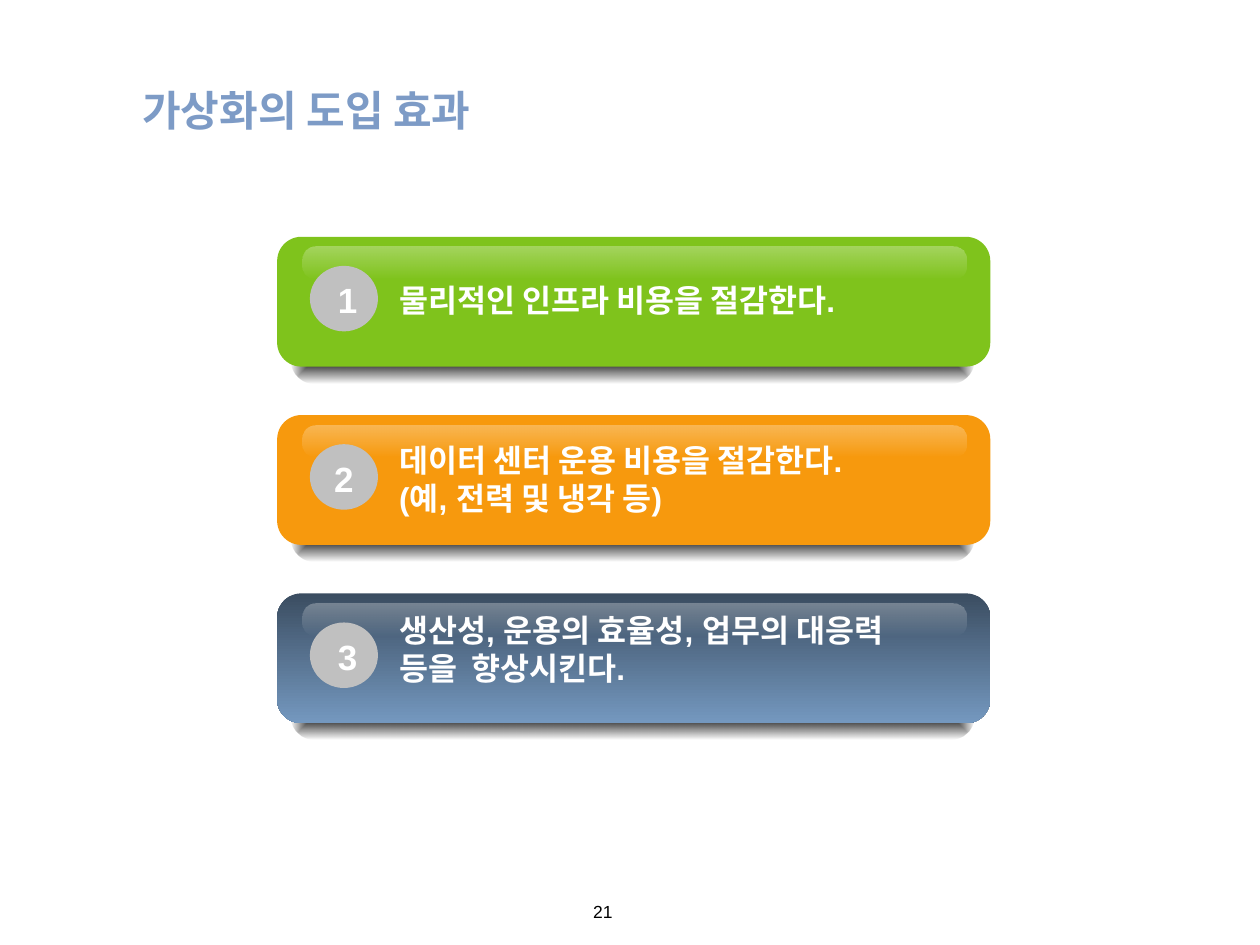
from lxml.etree import SubElement
from pptx import Presentation
from pptx.dml.color import RGBColor
from pptx.enum.shapes import MSO_SHAPE
from pptx.enum.text import MSO_ANCHOR, PP_ALIGN
from pptx.oxml.ns import qn
from pptx.util import Inches, Pt

COLORS = {
    "title": "7D9BC6", "white": "FFFFFF", "black": "000000", "disc": "C0C0C0",
    "green": "7FC31C", "orange": "F7990D", "navy": "3B4D61", "blue": "7498BF",
}
TITLE = "가상화의 도입 효과"
PAGE = "21"
# number, number left, text, text offset from card top, text height, fill colours
CARDS = [
    ("1", 2.58, "물리적인 인프라 비용을 절감한다.", 0.3, 0.4, ["green"]),
    ("2", 2.55, "데이터 센터 운용 비용을 절감한다.\v(예, 전력 및 냉각 등)", 0.16, 0.7, ["orange"]),
    ("3", 2.58, "생산성, 운용의 효율성, 업무의 대응력 등을  향상시킨다.", 0.09, 0.7, ["navy", "blue"]),
]
TOP, PITCH = 1.88, 1.415


def rgb(name):
    return RGBColor.from_string(COLORS[name])


def box(*sizes):
    return [Inches(size) for size in sizes]


def fade(shape, stops, center=False):
    """Fill with (colour, opacity %) stops, downward or out from the centre."""
    shape.fill.gradient()
    grad = shape._element.spPr.find(qn("a:gradFill"))
    for child in list(grad):
        grad.remove(child)
    items = SubElement(grad, qn("a:gsLst"))
    for i, (name, alpha) in enumerate(stops):
        stop = SubElement(items, qn("a:gs"), pos=str(i * 100000))
        color = SubElement(stop, qn("a:srgbClr"), val=COLORS[name])
        if alpha < 100:
            SubElement(color, qn("a:alpha"), val=str(alpha * 1000))
    if center:
        route = SubElement(grad, qn("a:path"), {"path": "shape"})
        SubElement(route, qn("a:fillToRect"), {side: "50000" for side in "ltrb"})
    else:
        SubElement(grad, qn("a:lin"), ang="5400000", scaled="0")


def add(shapes, kind, place, stops, round_by=None, center=False):
    shape = shapes.add_shape(kind, *box(*place))
    shape.shadow.inherit = False
    shape.line.fill.background()
    if round_by is not None:
        shape.adjustments[0] = round_by
    if len(stops) > 1:
        fade(shape, stops, center)
    else:
        shape.fill.solid()
        shape.fill.fore_color.rgb = rgb(stops[0][0])


def write(shape, text, size, color, bold=True, align=PP_ALIGN.LEFT, gap=None):
    frame = shape.text_frame
    frame.word_wrap = True
    frame.text = text
    para = frame.paragraphs[0]
    para.alignment = align
    if gap:
        para.line_spacing = gap
    for run in para.runs:
        font = run.font
        font.name, font.size, font.bold = "Arial", Pt(size), bold
        font.color.rgb = rgb(color)


deck = Presentation()
deck.slide_width, deck.slide_height = box(10, 7.5)
slide = deck.slides.add_slide(deck.slide_layouts[5])

# Title
title = slide.shapes.title
title.left, title.top, title.width, title.height = box(1.08, 0.68, 2.99, 0.44)
title.fill.solid()
title.fill.fore_color.rgb = rgb("white")
write(title, TITLE, 24, "title", gap=0.85)
frame = title.text_frame
frame.vertical_anchor = MSO_ANCHOR.MIDDLE
frame.margin_left = frame.margin_right = Inches(0.05)
frame.margin_top = frame.margin_bottom = Inches(0.05)

# Cards, lowest one at the back
ROUND = MSO_SHAPE.ROUNDED_RECTANGLE
for i, (number, left, text, drop, height, fill) in reversed(list(enumerate(CARDS))):
    top = TOP + i * PITCH
    shapes = slide.shapes.add_group_shape().shapes
    # Shadow, body and gloss
    add(shapes, ROUND, (2.31, top + 0.77, 5.42, 0.39),
        [("black", 100), ("black", 0)], 0.5, center=True)
    add(shapes, ROUND, (2.2, top, 5.66, 1.03), [(name, 100) for name in fill], 0.186)
    add(shapes, ROUND, (2.4, top + 0.08, 5.27, 0.25),
        [("white", 30), ("white", 0)], 0.432)
    # Text and numbered disc
    write(shapes.add_textbox(*box(3.07, top + drop, 4.55, height)), text, 18, "white")
    add(shapes, MSO_SHAPE.OVAL, (2.46, top + 0.23, 0.54, 0.52), [("disc", 100)])
    write(shapes.add_textbox(*box(left, top + 0.33, 0.36, 0.39)), number, 20, "white",
          align=PP_ALIGN.CENTER, gap=0.87)

# Page number
write(slide.shapes.add_textbox(*box(4.61, 7.1, 2.33, 0.33)), PAGE, 10, "black", bold=False)

deck.save("out.pptx")
